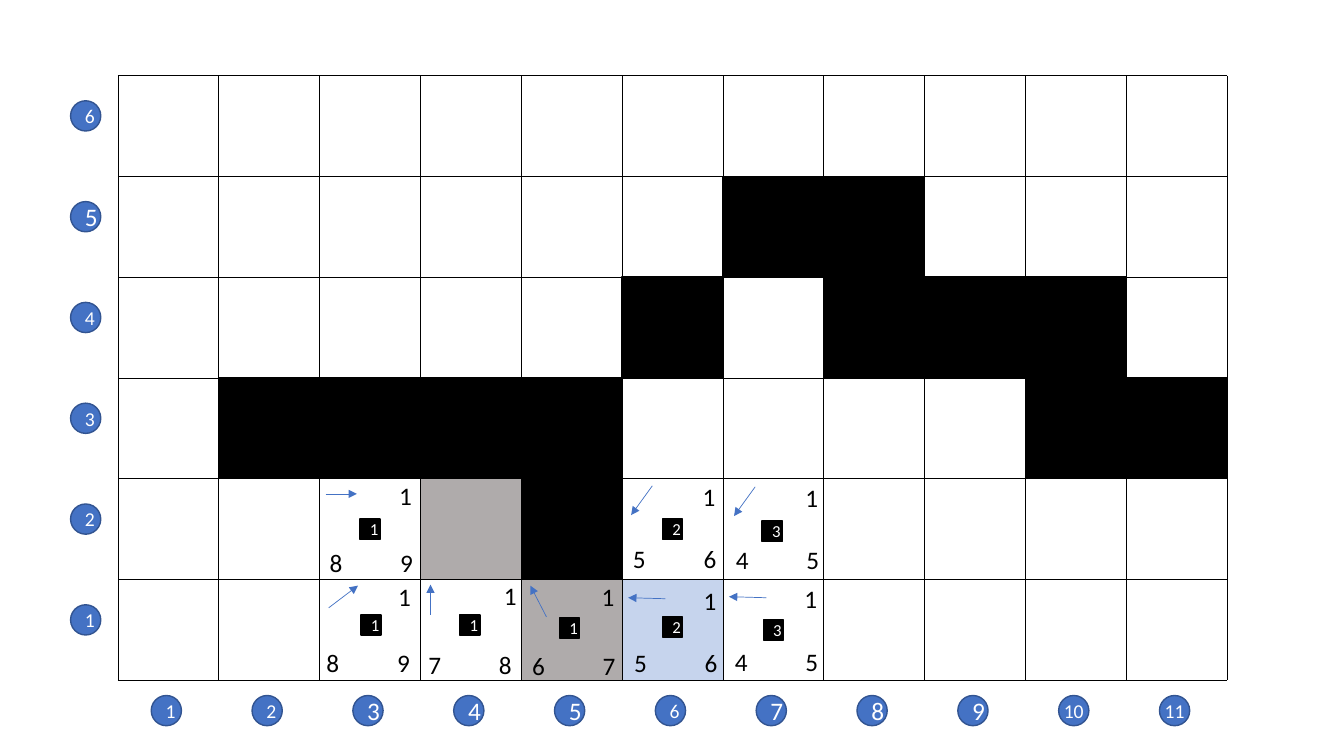
"""Draw a grid search map with walls, highlighted cells and scored path steps."""

from dataclasses import dataclass
from typing import Optional

import lxml.etree
import pptx
import pptx.dml.color
import pptx.enum.shapes
import pptx.enum.text
import pptx.oxml.ns
import pptx.util

PX = 9144
CELL = 100
COLS, ROWS = 11, 6
LEFT, TOP = 117, 75
RIGHT, BOTTOM = LEFT + COLS * CELL, TOP + ROWS * CELL
FONT = "Calibri"
COLORS = {
    "black": "000000",
    "white": "FFFFFF",
    "blue": "4472C4",
    "navy": "325491",
    "gray": "AFABAB",
    "pale": "8FAADC",
}
WALLS = {5: (7, 8), 4: (6, 8, 9, 10), 3: (2, 3, 4, 5, 10, 11), 2: (5,)}
LARGE_COLS = (3, 4, 5, 7, 8, 9)
LARGE_ROWS = (5,)
RECT = pptx.enum.shapes.MSO_SHAPE.RECTANGLE
OVAL = pptx.enum.shapes.MSO_SHAPE.OVAL


@dataclass(frozen=True)
class Highlight:
    col: int
    row: int
    color: str
    alpha: Optional[int] = None


@dataclass(frozen=True)
class Step:
    arrow: tuple[int, int, int, int]
    cost_at: tuple[int, int]
    estimate_at: tuple[int, int]
    tile_at: tuple[int, int]
    estimate: int
    order: int
    cost: int = 1


HIGHLIGHTS = (
    Highlight(4, 2, "gray"),
    Highlight(5, 1, "gray"),
    Highlight(6, 1, "pale", 50),
)
STEPS = (
    Step((323, 490, 354, 490), (386, 472), (317, 538), (357, 515), 8, 1),
    Step((326, 603, 355, 581), (385, 572), (314, 637), (358, 610), 8, 1),
    Step((427, 610, 427, 580), (490, 571), (415, 639), (456, 610), 7, 1),
    Step((542, 612, 526, 581), (587, 572), (518, 640), (555, 613), 6, 1),
    Step((647, 482, 626, 511), (687, 473), (618, 534), (657, 515), 5, 2),
    Step((660, 594, 623, 593), (688, 576), (619, 637), (657, 612), 5, 2),
    Step((760, 593, 723, 592), (788, 574), (719, 636), (757, 615), 4, 3),
    Step((749, 483, 728, 512), (789, 474), (720, 535), (756, 517), 4, 3),
)


def px(n: int) -> pptx.util.Emu:
    return pptx.util.Emu(n * PX)


def rgb(name: str) -> pptx.dml.color.RGBColor:
    return pptx.dml.color.RGBColor.from_string(COLORS[name])


def add_xml(parent, tag: str, **attrs: str) -> None:
    lxml.etree.SubElement(parent, pptx.oxml.ns.qn(tag), attrs)


def cell_origin(col: int, row: int) -> tuple[int, int]:
    return LEFT + (col - 1) * CELL, TOP + (ROWS - row) * CELL


def write(sp, text: str, size: int, color: str):
    sp.text_frame.text = text
    p = sp.text_frame.paragraphs[0]
    for r in p.runs:
        r.font.name = FONT
        r.font.size = pptx.util.Pt(size)
        r.font.color.rgb = rgb(color)
    return p


def add_block(slide, kind, x: int, y: int, side: int, fill: str,
              line: Optional[str] = None, text: str = "", size: int = 14):
    sp = slide.shapes.add_shape(kind, px(x), px(y), px(side), px(side))
    sp.shadow.inherit = False
    sp.fill.solid()
    sp.fill.fore_color.rgb = rgb(fill)
    if line:
        sp.line.color.rgb = rgb(line)
        sp.line.width = pptx.util.Pt(1)
    else:
        sp.line.fill.background()
    if text:
        tf = sp.text_frame
        tf.vertical_anchor = pptx.enum.text.MSO_ANCHOR.MIDDLE
        if len(text) > 1:
            tf.margin_left = tf.margin_right = 0
        p = write(sp, text, size, "white")
        p.alignment = pptx.enum.text.PP_ALIGN.CENTER
    return sp


def add_line(slide, x1: int, y1: int, x2: int, y2: int, color: str,
             arrow: bool = False) -> None:
    sp = slide.shapes.add_connector(
        pptx.enum.shapes.MSO_CONNECTOR.STRAIGHT, px(x1), px(y1), px(x2), px(y2))
    sp.line.color.rgb = rgb(color)
    sp.line.width = pptx.util.Pt(0.5)
    props = sp._element.spPr
    if arrow:
        add_xml(props.find(pptx.oxml.ns.qn("a:ln")), "a:tailEnd", type="triangle")
    add_xml(props, "a:effectLst")


def add_value(slide, x: int, y: int, value: int) -> None:
    sp = slide.shapes.add_textbox(px(x), px(y), px(30), px(40))
    sp.text_frame.word_wrap = True
    sp.text_frame.auto_size = pptx.enum.text.MSO_AUTO_SIZE.SHAPE_TO_FIT_TEXT
    write(sp, str(value), 18, "black")


def add_highlight(slide, h: Highlight) -> None:
    sp = add_block(slide, RECT, *cell_origin(h.col, h.row), CELL, h.color)
    if h.alpha is not None:
        clr = sp._element.spPr.find(".//" + pptx.oxml.ns.qn("a:srgbClr"))
        add_xml(clr, "a:alpha", val=str(h.alpha * 1000))


def add_index(slide, x: int, y: int, number: int, large: bool) -> None:
    add_block(slide, OVAL, x, y, 30, "blue", "navy", str(number),
              18 if large else 14)


def add_step(slide, step: Step) -> None:
    add_line(slide, *step.arrow, "blue", arrow=True)
    add_value(slide, *step.cost_at, step.cost)
    x, y = step.estimate_at
    add_value(slide, x, y, step.estimate)
    add_value(slide, x + 70, y, step.estimate + step.cost)
    add_block(slide, RECT, *step.tile_at, 20, "black", "black",
              str(step.order), 12)


def main() -> None:
    prs = pptx.Presentation()
    prs.slide_width, prs.slide_height = px(1333), px(750)
    slide = prs.slides.add_slide(prs.slide_layouts[6])
    for h in HIGHLIGHTS:
        add_highlight(slide, h)
    for col in range(1, COLS + 1):
        add_index(slide, 50 + col * CELL, 690, col, col in LARGE_COLS)
    for row in range(1, ROWS + 1):
        add_index(slide, 70, 700 - row * CELL, row, row in LARGE_ROWS)
    for x in range(LEFT, RIGHT + 1, CELL):
        add_line(slide, x, TOP, x, BOTTOM, "black")
    for y in range(TOP, BOTTOM + 1, CELL):
        add_line(slide, LEFT, y, RIGHT, y, "black")
    for row, cols in WALLS.items():
        for col in cols:
            add_block(slide, RECT, *cell_origin(col, row), CELL, "black", "black")
    for step in STEPS:
        add_step(slide, step)
    prs.save("out.pptx")


if __name__ == "__main__":
    main()
